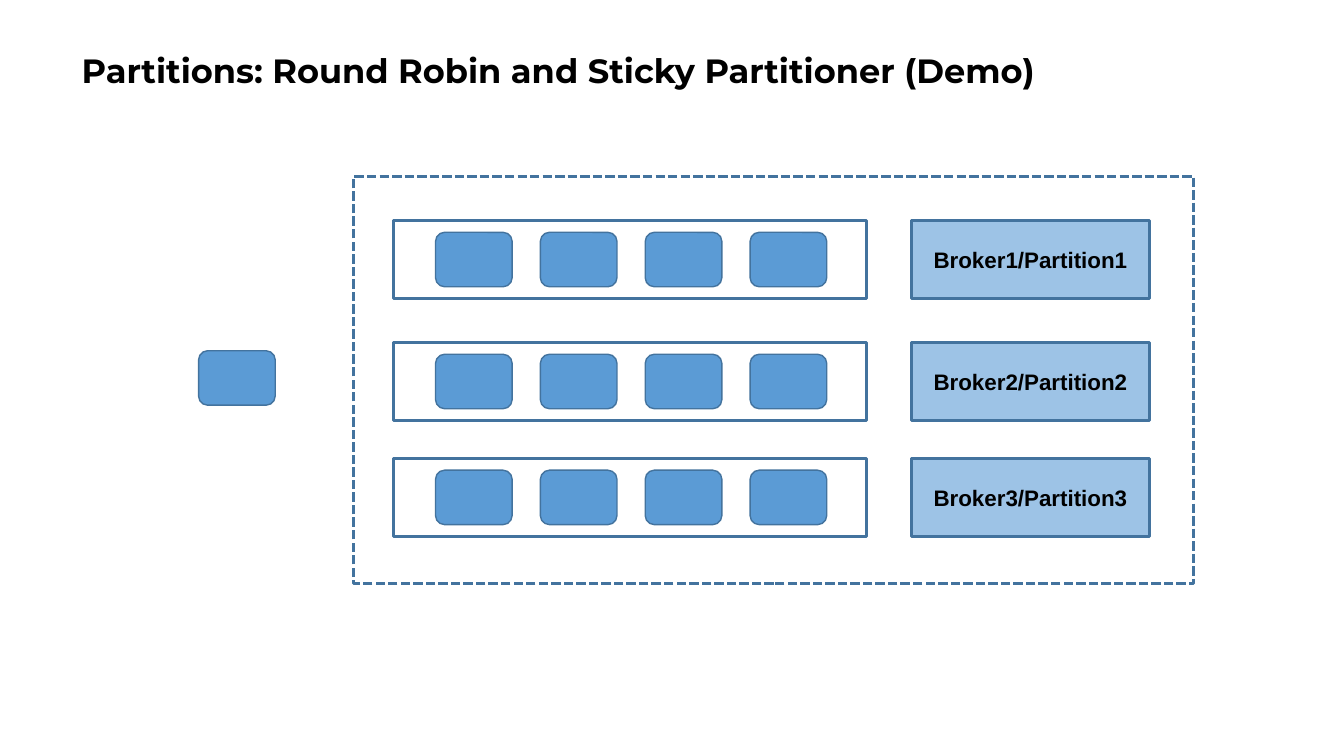
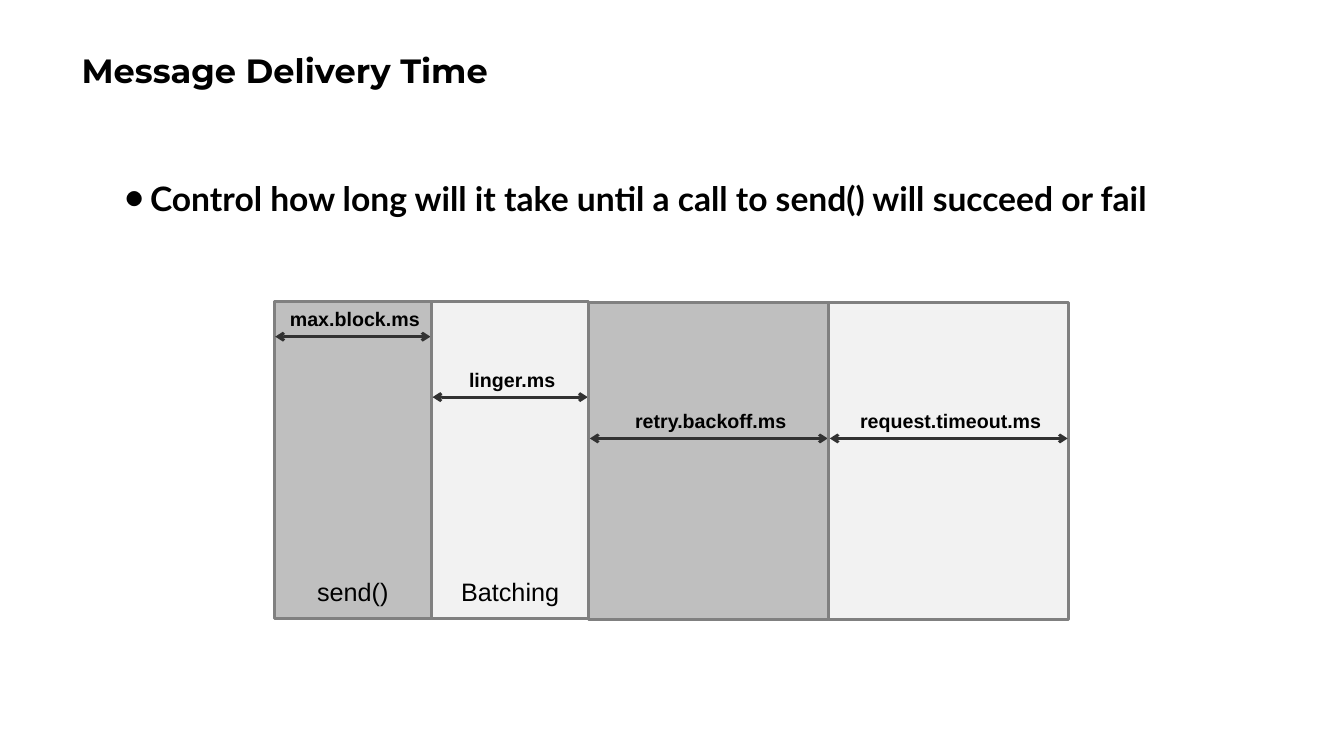
from lxml.etree import SubElement
from pptx import Presentation
from pptx.dml.color import RGBColor
from pptx.enum.dml import MSO_LINE_DASH_STYLE as Dash
from pptx.enum.shapes import MSO_CONNECTOR as Connector, MSO_SHAPE as Shape
from pptx.enum.text import MSO_ANCHOR as Anchor, PP_ALIGN as Align
from pptx.oxml.ns import qn
from pptx.util import Inches, Pt

BLACK = RGBColor(0x00, 0x00, 0x00)
BLUE = RGBColor(0x5B, 0x9B, 0xD5)
LIGHT_BLUE = RGBColor(0x9D, 0xC3, 0xE6)
DARK_BLUE = RGBColor(0x43, 0x73, 0x9E)
GRAY = RGBColor(0xBF, 0xBF, 0xBF)
PALE_GRAY = RGBColor(0xF2, 0xF2, 0xF2)
EDGE_GRAY = RGBColor(0x80, 0x80, 0x80)
ARROW_GRAY = RGBColor(0x32, 0x32, 0x32)

SLIDE_SIZE = 13.33, 7.5
TITLE_BOX = 0.71, 0, 11.5, 1.45

# Partition diagram
CLUSTER_BOX = 3.51, 1.75, 8.33, 4.04
BROKERS = [("Broker1/Partition1", 2.19), ("Broker2/Partition2", 3.4), ("Broker3/Partition3", 4.55)]
LANE_LEFT, LANE_WIDTH, LANE_HEIGHT = 3.9, 4.69, 0.77
BROKER_LEFT, BROKER_WIDTH = 9.04, 2.36
MESSAGE_SIZE = 0.76, 0.54
MESSAGES, MESSAGE_LEFT, MESSAGE_PITCH = 4, 4.32, 1.04
NEW_MESSAGE_AT = 1.97, 3.48

# Delivery timeline: setting, stage, width, top, arrow height, fill
POINT = "Control how long will it take until a call to send() will succeed or fail"
PHASES = [
    ("max.block.ms", "send()", 1.56, 2.99, 3.34, GRAY),
    ("linger.ms", "Batching", 1.56, 2.99, 3.94, PALE_GRAY),
    ("retry.backoff.ms", "", 2.38, 3, 4.35, GRAY),
    ("request.timeout.ms", "", 2.38, 3, 4.35, PALE_GRAY),
]
PHASE_LEFT, PHASE_HEIGHT, STAGE_TOP = 2.72, 3.15, 5.67
LABEL_HEIGHT, STAGE_HEIGHT = 0.34, 0.4


def inches(values):
    return [Inches(value) for value in values]


def write(para, text, size, font="Arial", bold=True):
    span = para.add_run()
    span.text = text
    span.font.size = Pt(size)
    span.font.name = font
    span.font.bold = bold
    span.font.color.rgb = BLACK


def add_titled_slide(deck, title):
    page = deck.slides.add_slide(deck.slide_layouts[5])
    box = page.shapes.title
    box.left, box.top, box.width, box.height = inches(TITLE_BOX)
    box.text_frame.vertical_anchor = Anchor.MIDDLE
    box.text_frame.word_wrap = True
    para = box.text_frame.paragraphs[0]
    para.alignment = Align.LEFT
    para.line_spacing = 0.9
    write(para, title, 24, "Montserrat")
    return page


def add_block(page, place, edge, weight, fill=None, kind=Shape.RECTANGLE):
    block = page.shapes.add_shape(kind, *inches(place))
    block.shadow.inherit = False
    if fill is None:
        block.fill.background()
    else:
        block.fill.solid()
        block.fill.fore_color.rgb = fill
    block.line.color.rgb = edge
    block.line.width = Pt(weight)
    return block


def add_message(page, left, top):
    add_block(page, (left, top, *MESSAGE_SIZE), DARK_BLUE, 1, BLUE, Shape.ROUNDED_RECTANGLE)


def add_label(page, place, text, size, bold=True):
    box = page.shapes.add_textbox(*inches(place))
    box.text_frame.word_wrap = False
    para = box.text_frame.paragraphs[0]
    para.alignment = Align.CENTER
    write(para, text, size, bold=bold)


def add_double_arrow(page, left, right, height):
    arrow = page.shapes.add_connector(Connector.STRAIGHT, *inches((left, height, right, height)))
    arrow.line.color.rgb = ARROW_GRAY
    arrow.line.width = Pt(2)
    line = arrow.line._get_or_add_ln()
    for end in ("a:headEnd", "a:tailEnd"):
        SubElement(line, qn(end), type="arrow")
    SubElement(arrow._element.spPr, qn("a:effectLst"))


def add_bullet_point(page, place, text):
    box = page.shapes.add_textbox(*inches(place))
    box.text_frame.word_wrap = True
    para = box.text_frame.paragraphs[0]
    write(para, text, 24, "Lato")
    props = para._p.get_or_add_pPr()
    hang = Inches(0.24)
    props.set("marL", str(hang))
    props.set("indent", str(-hang))
    SubElement(props, qn("a:buSzPct"), val="50000")
    SubElement(props, qn("a:buFont"), typeface="Noto Sans CJK SC")
    SubElement(props, qn("a:buChar"), char="●")


def build_partitions(deck):
    page = add_titled_slide(deck, "Partitions: Round Robin and Sticky Partitioner (Demo)")
    cluster = add_block(page, CLUSTER_BOX, DARK_BLUE, 2.25)
    cluster.line.dash_style = Dash.SQUARE_DOT
    for name, top in BROKERS:
        add_block(page, (LANE_LEFT, top, LANE_WIDTH, LANE_HEIGHT), DARK_BLUE, 2.25)
        message_top = top + (LANE_HEIGHT - MESSAGE_SIZE[1]) / 2
        for column in range(MESSAGES):
            add_message(page, MESSAGE_LEFT + column * MESSAGE_PITCH, message_top)
        broker = add_block(page, (BROKER_LEFT, top, BROKER_WIDTH, LANE_HEIGHT),
                           DARK_BLUE, 2.25, LIGHT_BLUE)
        broker.text_frame.vertical_anchor = Anchor.MIDDLE
        para = broker.text_frame.paragraphs[0]
        para.alignment = Align.CENTER
        write(para, name, 16)
    add_message(page, *NEW_MESSAGE_AT)


def build_delivery_time(deck):
    page = add_titled_slide(deck, "Message Delivery Time")
    add_bullet_point(page, (1.15, 1.72, 10.5, 0.5), POINT)
    left = PHASE_LEFT
    for setting, stage, width, top, arrow_height, fill in PHASES:
        add_block(page, (left, top, width, PHASE_HEIGHT), EDGE_GRAY, 2, fill)
        add_double_arrow(page, left + 0.01, left + width - 0.01, arrow_height)
        add_label(page, (left + 0.04, arrow_height - LABEL_HEIGHT, width - 0.04, LABEL_HEIGHT),
                  setting, 14)
        if stage:
            add_label(page, (left, STAGE_TOP, width, STAGE_HEIGHT), stage, 18, bold=False)
        left += width


def main():
    deck = Presentation()
    deck.slide_width, deck.slide_height = inches(SLIDE_SIZE)
    build_partitions(deck)
    build_delivery_time(deck)
    deck.save("out.pptx")


if __name__ == "__main__":
    main()
